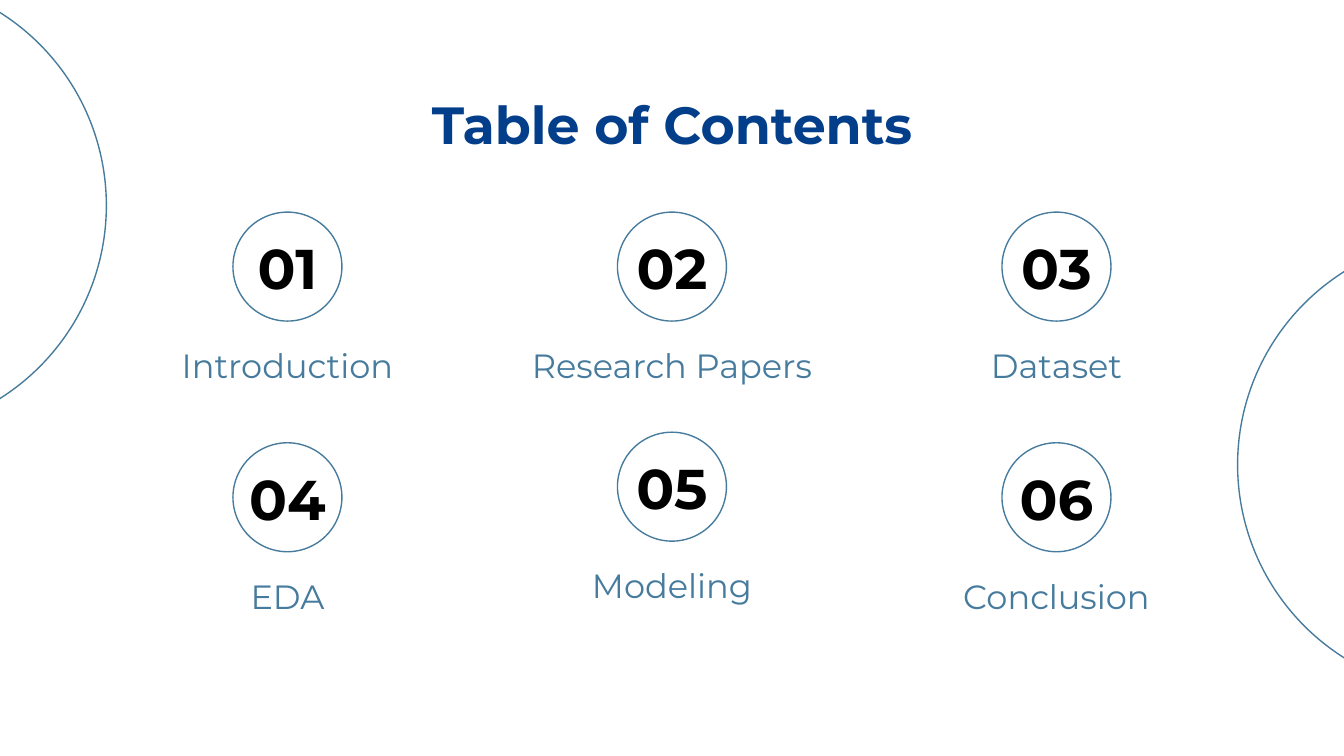
from pptx import Presentation
from pptx.dml.color import RGBColor
from pptx.enum import shapes, text
from pptx.util import Cm, Pt

COLORS = {"title": "023E8A", "number": "000000", "accent": "467B9D"}
FONT = "Montserrat"
TOPICS = ["Introduction", "Research Papers", "Dataset",
          "EDA", "Modeling", "Conclusion"]


def add_circle(slide, left, top, size):
    sp = slide.shapes.add_shape(shapes.MSO_SHAPE.OVAL, Cm(left), Cm(top),
                                Cm(size), Cm(size))
    sp.shadow.inherit = False
    sp.fill.background()
    sp.line.color.rgb = RGBColor.from_string(COLORS["accent"])
    sp.line.width = Pt(0.75)


def add_text(slide, box, words, size, color, bold=False,
             anchor=text.MSO_ANCHOR.TOP):
    tf = slide.shapes.add_textbox(*map(Cm, box)).text_frame
    tf.word_wrap = True
    tf.vertical_anchor = anchor
    tf.margin_left = tf.margin_right = Cm(0.25)
    tf.margin_top = tf.margin_bottom = Cm(0.25)
    p = tf.paragraphs[0]
    p.alignment = text.PP_ALIGN.CENTER
    r = p.add_run()
    r.text = words
    r.font.name = FONT
    r.font.size = Pt(size)
    r.font.bold = bold
    r.font.color.rgb = RGBColor.from_string(COLORS[color])


def add_topic(slide, left, top, width, number, label):
    """Circled number with its label below, centred in the column."""
    circle, num_w, num_h = 2.06, 2.8, 1.47
    center = left + width / 2
    add_circle(slide, center - circle / 2, top, circle)
    add_text(slide, (center - num_w / 2, top + (circle - num_h) / 2 + 0.01,
                     num_w, num_h),
             f"{number:02d}", 30, "number", True, text.MSO_ANCHOR.MIDDLE)
    add_text(slide, (left, top + 2.26, width, 1.9), label, 18, "accent")


def add_topic_grid(slide, left, top, width):
    cols, gap, row_pitch = 3, 0.4, 4.36
    col_w = (width - gap * (cols - 1)) / cols
    for i, label in enumerate(TOPICS):
        row, col = divmod(i, cols)
        # The middle topic of the second row sits slightly higher
        lift = 0.2 if (row, col) == (1, 1) else 0
        add_topic(slide, left + col * (col_w + gap),
                  top + row * row_pitch - lift, col_w, i + 1, label)


def main():
    prs = Presentation()
    prs.slide_width, prs.slide_height = Cm(25.4), Cm(14.29)
    s = prs.slides.add_slide(prs.slide_layouts[6])

    # Large circles cut by the slide edges
    for left, top in ((-6.62, -0.43), (23.39, 4.47)):
        add_circle(s, left, top, 8.63)

    # Title and topics share the same margins
    left, width = 2, 21.4
    add_text(s, (left, 1.5, width, 1.6), "Table of Contents", 28, "title", True)
    add_topic_grid(s, left, 4.01, width)

    prs.save("out.pptx")


if __name__ == "__main__":
    main()
